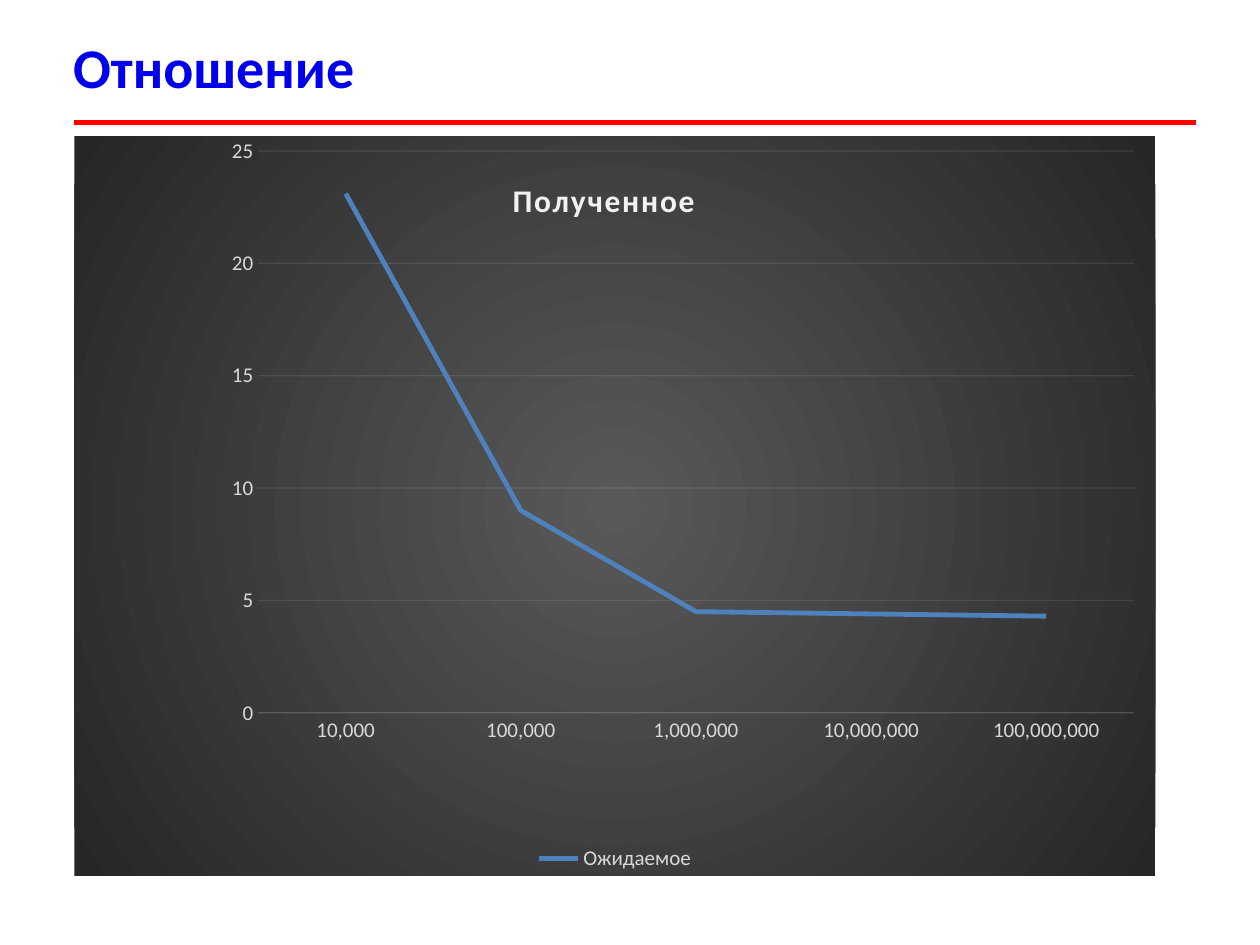
import pptx
import pptx.chart.data
import pptx.dml.color
import pptx.enum.chart
import pptx.enum.shapes
import pptx.oxml
import pptx.oxml.ns
import pptx.util

Pt = pptx.util.Pt
qn = pptx.oxml.ns.qn
NAMESPACES = pptx.oxml.ns.nsdecls("a", "c")
FONT = "Calibri"
COLORS = {
    "heading": "0000EA",
    "rule": "FF0000",
    "series": "4F81BD",
    "label": "D9D9D9",
    "light": "F2F2F2",
    "center": "595959",
    "edge": "262626",
}


def color(name):
    return pptx.dml.color.RGBColor.from_string(COLORS[name])


def style_font(font, size, color_name, bold=False):
    font.name = FONT
    font.size = Pt(size)
    font.bold = bold
    font.color.rgb = color(color_name)


def style_line(line, color_name, width, alpha=None):
    line.color.rgb = color(color_name)
    line.width = Pt(width)
    if alpha is not None:
        fill_color = line.fill._xPr.find(qn("a:solidFill"))[0]
        fill_color.append(pptx.oxml.parse_xml(f'<a:alpha {NAMESPACES} val="{alpha * 1000}"/>'))


def add_heading(slide, text):
    box = slide.shapes.add_textbox(Pt(41.8), Pt(18.7), Pt(618), Pt(38.9))
    frame = box.text_frame
    frame.word_wrap = True
    frame.margin_left = frame.margin_right = frame.margin_top = frame.margin_bottom = 0
    paragraph = frame.paragraphs[0]
    paragraph.text = text
    style_font(paragraph.font, 32, "heading", True)


def add_rule(slide):
    rule = slide.shapes.add_connector(
        pptx.enum.shapes.MSO_CONNECTOR.STRAIGHT, Pt(42.5), Pt(69.8), Pt(683.3), Pt(69.8))
    style_line(rule.line, "rule", 3)
    rule._element.spPr.append(pptx.oxml.parse_xml(f"<a:effectLst {NAMESPACES}/>"))


def set_layout(parent, index, **values):
    old = parent.find(qn("c:layout"))
    if old is not None:
        parent.remove(old)
    entries = "".join(f'<c:{key} val="{value}"/>' for key, value in values.items())
    parent.insert(index, pptx.oxml.parse_xml(
        f"<c:layout {NAMESPACES}><c:manualLayout>{entries}</c:manualLayout></c:layout>"))


def set_radial_background(chart):
    stops = "".join(
        f'<a:gs pos="{position}"><a:srgbClr val="{COLORS[name]}"/></a:gs>'
        for position, name in ((0, "center"), (100000, "edge")))
    chart._chartSpace.chart.addnext(pptx.oxml.parse_xml(
        f'<c:spPr {NAMESPACES}><a:gradFill><a:gsLst>{stops}</a:gsLst><a:path path="circle">'
        '<a:fillToRect l="50000" t="50000" r="50000" b="50000"/></a:path></a:gradFill>'
        "<a:ln><a:noFill/></a:ln></c:spPr>"))


def style_title(chart, text):
    chart.has_title = True
    title = chart.chart_title
    paragraph = title.text_frame.paragraphs[0]
    paragraph.text = text
    style_font(paragraph.font, 18, "light", True)
    paragraph.font._element.set("spc", "100")
    set_layout(title._element, 1, xMode="edge", yMode="edge", x=0.4, y=0.05)


def style_axes(chart):
    for axis in (chart.category_axis, chart.value_axis):
        axis.major_tick_mark = axis.minor_tick_mark = pptx.enum.chart.XL_TICK_MARK.NONE
        style_font(axis.tick_labels.font, 12, "label")
    chart.category_axis.tick_labels.number_format = "#,##0"
    chart.category_axis.tick_labels.number_format_is_linked = False
    style_line(chart.category_axis.format.line, "light", 0.75, 10)
    value_axis = chart.value_axis
    value_axis.minimum_scale, value_axis.maximum_scale, value_axis.major_unit = 0, 25, 5
    value_axis.format.line.fill.background()
    style_line(value_axis.major_gridlines.format.line, "light", 0.75, 10)


def add_ratio_chart(slide):
    data = pptx.chart.data.CategoryChartData()
    data.categories = [10 ** power for power in range(4, 9)]
    data.categories.number_format = "#,##0"
    data.add_series("Ожидаемое", (23.1, 9, 4.5, 4.4, 4.3))
    chart = slide.shapes.add_chart(
        pptx.enum.chart.XL_CHART_TYPE.LINE, Pt(42.5), Pt(77.8), Pt(617.8), Pt(422.6), data).chart
    chart.font.name = FONT
    chart.font.size = Pt(10)
    set_radial_background(chart)
    style_title(chart, "Полученное")
    style_axes(chart)
    chart.has_legend = True
    chart.legend.position = pptx.enum.chart.XL_LEGEND_POSITION.BOTTOM
    chart.legend.include_in_layout = False
    style_font(chart.legend.font, 12, "label")
    series = chart.plots[0].series[0]
    series.smooth = False
    series.marker.style = pptx.enum.chart.XL_MARKER_STYLE.NONE
    style_line(series.format.line, "series", 2.75)
    chart.plots[0].vary_by_categories = False
    set_layout(chart._chartSpace.chart.plotArea, 0, layoutTarget="inner",
               xMode="edge", yMode="edge", x=0.17, y=0.02, w=0.81, h=0.76)


def main():
    presentation = pptx.Presentation()
    presentation.slide_width, presentation.slide_height = Pt(720), Pt(540)
    slide = presentation.slides.add_slide(presentation.slide_layouts[6])
    add_rule(slide)
    add_heading(slide, "Отношение")
    add_ratio_chart(slide)
    presentation.save("out.pptx")


if __name__ == "__main__":
    main()
